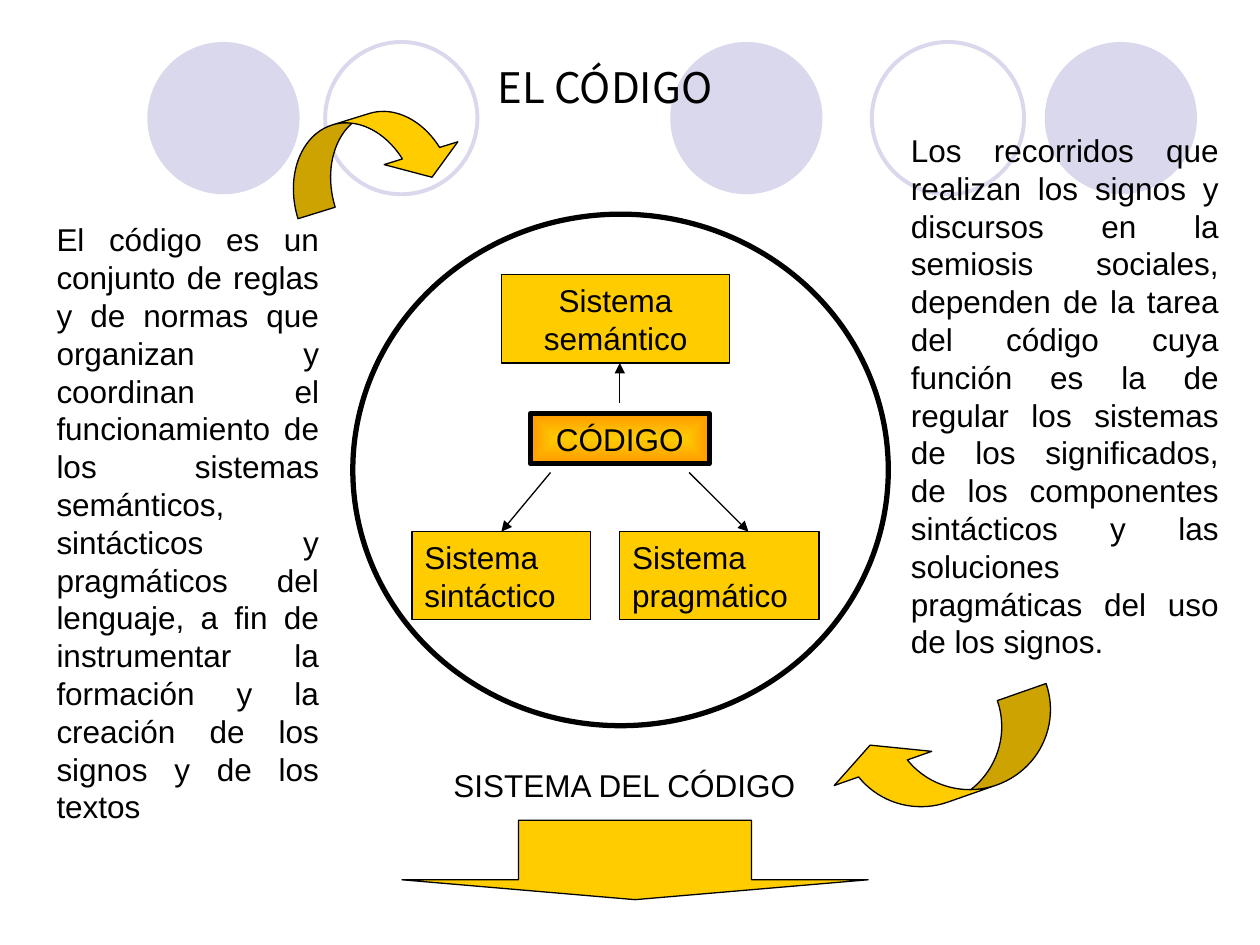
from lxml.etree import SubElement
from pptx import Presentation
from pptx.dml.color import RGBColor
from pptx.enum.shapes import MSO_CONNECTOR, MSO_SHAPE
from pptx.enum.text import MSO_ANCHOR, MSO_AUTO_SIZE, PP_ALIGN
from pptx.oxml.ns import qn
from pptx.util import Pt

THEME = {
    "ink": RGBColor.from_string("000000"),
    "lavender": RGBColor.from_string("D9D8EC"),
    "yellow": RGBColor.from_string("FFCC00"),
    "orange": RGBColor.from_string("FF9900"),
    "title_font": "Noto Sans CJK KR",
    "body_font": "Arial",
    "title_size": Pt(24),
    "body_size": Pt(18),
    "thin": Pt(0.75),
    "medium": Pt(2.25),
    "thick": Pt(3),
}


def add_figure(preset, box, fill, line, width):
    shape = slide.shapes.add_shape(preset, *map(Pt, box))
    shape.shadow.inherit = False
    if fill is None:
        shape.fill.background()
    else:
        shape.fill.solid()
        shape.fill.fore_color.rgb = fill
    if line is None:
        shape.line.fill.background()
    else:
        shape.line.color.rgb = line
        shape.line.width = width
    return shape


def write_text(shape, text, alignment, font="body_font", size="body_size"):
    frame = shape.text_frame
    frame.word_wrap = True
    frame.auto_size = MSO_AUTO_SIZE.NONE
    frame.vertical_anchor = MSO_ANCHOR.TOP
    paragraph = frame.paragraphs[0]
    paragraph.alignment = alignment
    run = paragraph.add_run()
    run.text = text
    run.font.name = THEME[font]
    run.font.size = THEME[size]
    run.font.color.rgb = THEME["ink"]


presentation = Presentation()
presentation.slide_width = Pt(720)
presentation.slide_height = Pt(540)
slide = presentation.slides.add_slide(presentation.slide_layouts[5])

title = slide.shapes.title
title.left, title.top, title.width, title.height = map(Pt, (218.2, 31.7, 254.9, 36))
write_text(title, "EL CÓDIGO", PP_ALIGN.CENTER, "title_font", "title_size")

for left, filled in ((383, True), (597, True), (84.2, True), (498.2, False), (185.8, False)):
    fill, line = (THEME["lavender"], None) if filled else (None, THEME["lavender"])
    disc = add_figure(MSO_SHAPE.OVAL, (left, 24, 87, 87), fill, line, THEME["medium"])
    title.element.addprevious(disc.element)

add_figure(MSO_SHAPE.FLOWCHART_CONNECTOR, (201.6, 122.4, 306, 292.3),
           None, THEME["ink"], THEME["thick"])

texts = (
    ((25.2, 122.4, 164.2, 352.8), PP_ALIGN.JUSTIFY,
     "El código es un conjunto de reglas y de normas que organizan y coordinan el "
     "funcionamiento de los sistemas semánticos, sintácticos y pragmáticos del lenguaje, "
     "a fin de instrumentar la formación y la creación de los signos y de los textos"),
    ((513.4, 71.3, 190.1, 309.6), PP_ALIGN.JUSTIFY,
     "Los recorridos que realizan los signos y discursos en la semiosis sociales, "
     "dependen de la tarea del código cuya función es la de regular los sistemas de los "
     "significados, de los componentes sintácticos y las soluciones pragmáticas del uso "
     "de los signos."),
    ((252, 434.2, 238.3, 28.8), PP_ALIGN.LEFT, "SISTEMA DEL CÓDIGO"),
)
for box, alignment, text in texts:
    write_text(slide.shapes.add_textbox(*map(Pt, box)), text, alignment)

arrows = (
    (MSO_SHAPE.CURVED_DOWN_ARROW, (161.3, 65.5, 102.2, 45.4), -17.2, (0.49, 0.97, 0.33)),
    (MSO_SHAPE.CURVED_DOWN_ARROW, (473, 411.8, 136.1, 45.4), 160.7, (0.65, 1.3, 0.33)),
    (MSO_SHAPE.DOWN_ARROW, (229.7, 468.7, 266.4, 45.4), 0, (0.5, 0.25)),
)
for preset, box, rotation, adjustments in arrows:
    arrow = add_figure(preset, box, THEME["yellow"], THEME["ink"], THEME["thin"])
    arrow.rotation = rotation
    for index, value in enumerate(adjustments):
        arrow.adjustments[index] = value

boxes = (
    ("Sistema semántico", (286.6, 157, 130.3, 50.4), PP_ALIGN.CENTER, "thin"),
    ("CÓDIGO", (303.1, 236.2, 102.2, 28.8), PP_ALIGN.CENTER, "thick"),
    ("Sistema sintáctico", (235.4, 303.8, 102.2, 50.4), PP_ALIGN.LEFT, "thin"),
    ("Sistema pragmático", (354.2, 303.8, 113.8, 50.4), PP_ALIGN.LEFT, "thin"),
)
systems = {}
for text, box, alignment, width in boxes:
    shape = add_figure(MSO_SHAPE.RECTANGLE, box, THEME["yellow"], THEME["ink"], THEME[width])
    write_text(shape, text, alignment)
    systems[text] = shape

code_fill = systems["CÓDIGO"].fill
code_fill.gradient()
for stop, color, position in zip(code_fill.gradient_stops, ("yellow", "orange"), (0, 1)):
    stop.color.rgb = THEME[color]
    stop.position = position
gradient = systems["CÓDIGO"].element.spPr.find(qn("a:gradFill"))
gradient.remove(gradient.find(qn("a:lin")))
center = SubElement(gradient, qn("a:path"), {"path": "rect"})
SubElement(center, qn("a:fillToRect"), {side: "50000" for side in "ltrb"})

links = (
    ((354.2, 230.4, 354.2, 207.4), None),
    ((314.6, 270, 286.5, 303.8), "Sistema sintáctico"),
    ((393.8, 270, 427.7, 303.8), None),
)
for ends, target in links:
    connector = slide.shapes.add_connector(MSO_CONNECTOR.STRAIGHT, *map(Pt, ends))
    connector.line.color.rgb = THEME["ink"]
    connector.line.width = THEME["thin"]
    if target:
        connector.end_connect(systems[target], 0)
    properties = connector.element.spPr
    SubElement(properties.find(qn("a:ln")), qn("a:tailEnd"), {"type": "triangle"})
    SubElement(properties, qn("a:effectLst"))

presentation.save("out.pptx")
